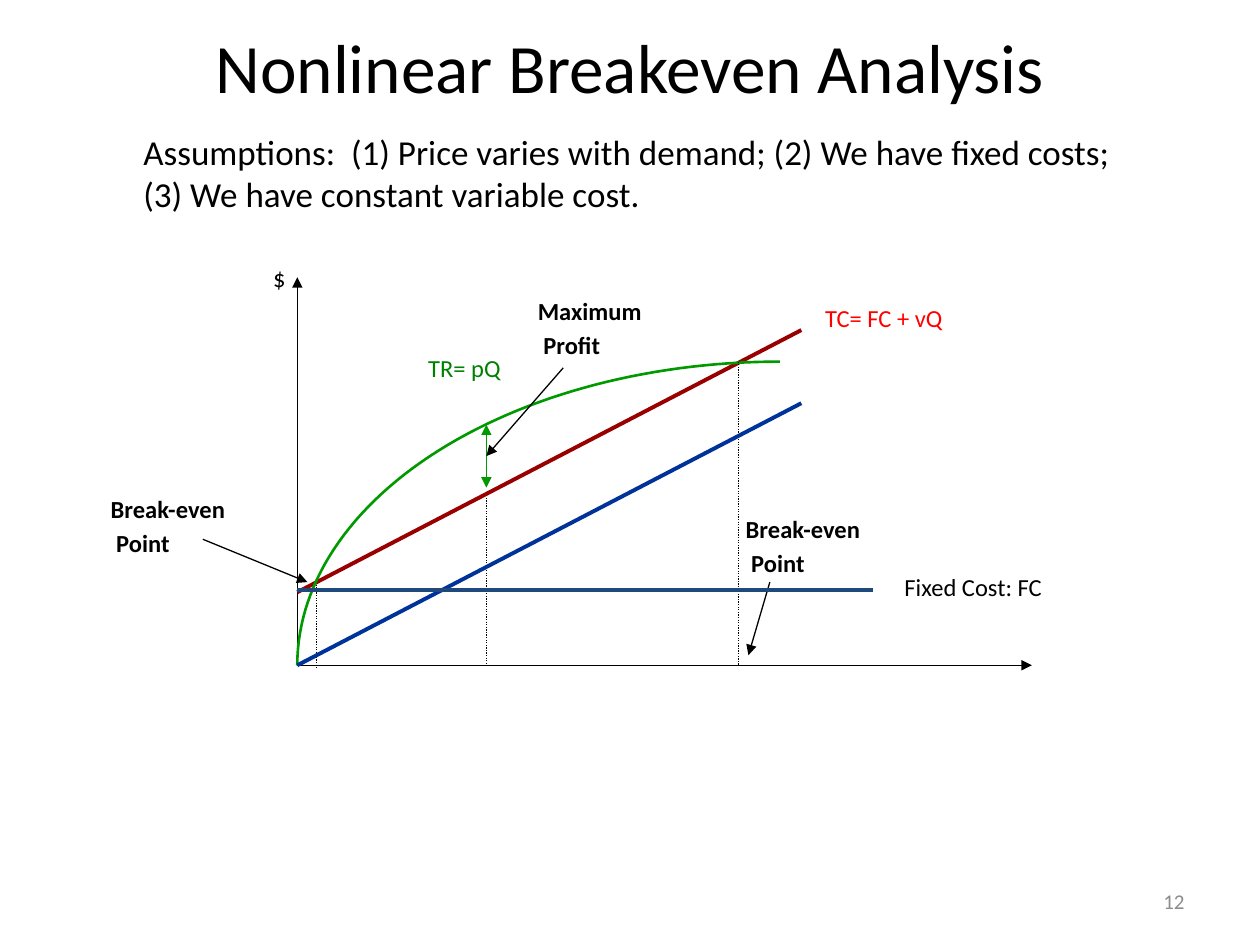
from dataclasses import dataclass
from math import cos, pi, sin

from lxml.etree import SubElement
from pptx import Presentation
from pptx.dml.color import RGBColor
from pptx.enum.dml import MSO_LINE
from pptx.enum.shapes import MSO_CONNECTOR
from pptx.enum.text import MSO_ANCHOR, MSO_AUTO_SIZE, PP_ALIGN
from pptx.oxml.ns import qn
from pptx.util import Inches, Pt

COLORS = {"black": "000000", "cost": "990000", "curve": "009900", "variable": "003399",
          "fixed": "1F497D", "red": "FF0000", "green": "008000", "grey": "8C8C8C"}
WIDTH, HEIGHT = 10, 7.5
X0, Y0 = 2.36, 5.28              # origin of the diagram
X_END, RISE = X0 + 4, 2.08       # right end and rise of both cost lines
X_LOW, X_MAX, X_HIGH = 2.51, 3.86, 5.86
CURVE_W, CURVE_H = 3.83, 2.41


@dataclass(frozen=True)
class Line:
    """A straight line with optional arrowheads."""
    start: tuple[float, float]
    end: tuple[float, float]
    color: str = "black"
    width: float = 0.75
    ends: tuple[str, ...] = ()
    dotted: bool = False


@dataclass(frozen=True)
class Label:
    """A text box with one paragraph per line of text."""
    text: str
    box: tuple[float, float, float, float]
    color: str = "black"
    size: float = 14
    bold: bool = False
    before: float = 0
    indent: float = 0
    wrap: bool = False
    align: PP_ALIGN = PP_ALIGN.LEFT
    anchor: MSO_ANCHOR = MSO_ANCHOR.TOP


def rgb(name: str) -> RGBColor:
    """Look up a named colour."""
    return RGBColor.from_string(COLORS[name])


def place(sp, box: tuple[float, float, float, float]) -> None:
    """Move and size a shape in inches."""
    for name, value in zip(("left", "top", "width", "height"), box):
        setattr(sp, name, Inches(value))


def write(tf, label: Label) -> None:
    """Fill a text frame with the label's formatted text."""
    frame = {"auto_size": MSO_AUTO_SIZE.NONE, "word_wrap": label.wrap,
             "vertical_anchor": label.anchor}
    for name, value in frame.items():
        setattr(tf, name, value)
    for i, text in enumerate(label.text.split("\n")):
        p = tf.add_paragraph() if i else tf.paragraphs[0]
        p.alignment, p.space_before = label.align, Pt(label.before)
        if label.indent:
            p._p.get_or_add_pPr().set("marL", str(Inches(label.indent)))
        r = p.add_run()
        r.text = text
        font = {"name": "Calibri", "size": Pt(label.size), "bold": label.bold}
        for name, value in font.items():
            setattr(r.font, name, value)
        r.font.color.rgb = rgb(label.color)


def add_label(shapes, label: Label) -> None:
    """Draw one text box."""
    sp = shapes.add_textbox(*map(Inches, label.box))
    write(sp.text_frame, label)


def add_line(shapes, line: Line) -> None:
    """Draw one straight line."""
    sp = shapes.add_connector(MSO_CONNECTOR.STRAIGHT,
                              *map(Inches, line.start + line.end))
    sp.line.color.rgb, sp.line.width = rgb(line.color), Pt(line.width)
    if line.dotted:
        sp.line.dash_style = MSO_LINE.ROUND_DOT
    ln = sp.line._get_or_add_ln()
    for end in line.ends:
        SubElement(ln, qn(f"a:{end}")).set("type", "triangle")
    SubElement(sp._element.spPr, qn("a:effectLst"))


def add_curve(shapes, steps: int = 60) -> None:
    """Draw the revenue curve as a quarter of an ellipse."""
    angles = [pi / 2 * i / steps for i in range(steps + 1)]
    points = [(Inches(X0 + CURVE_W * (1 - cos(a))), Inches(Y0 - CURVE_H * sin(a)))
              for a in angles]
    builder = shapes.build_freeform(*points[0])
    builder.add_line_segments(points[1:], close=False)
    sp = builder.convert_to_shape()
    sp.shadow.inherit = False
    sp.fill.background()
    sp.line.color.rgb, sp.line.width = rgb("curve"), Pt(1.5)


def drop(x: float, top: float, bottom: float = Y0) -> Line:
    """Give a dotted vertical line down to the quantity axis."""
    return Line((x, top), (x, bottom), dotted=True)


def arrow(start: tuple[float, float], end: tuple[float, float]) -> Line:
    """Give a thin line with an arrowhead at its end."""
    return Line(start, end, ends=("tailEnd",))


def note(text: str, left: float, top: float, width: float) -> Label:
    """Give a bold two-line note."""
    return Label(text, (left, top, width, 0.62), bold=True, before=2.8)


BACK_LINES = [
    arrow((X0, Y0), (X0, 2.2)),
    arrow((X0, Y0), (8.19, Y0)),
    Line((X0, 4.7), (X_END, 4.7 - RISE), "cost", 2.25),
]
FRONT_LINES = [
    Line((X_MAX, 3.37), (X_MAX, 3.87), "curve", ends=("headEnd", "tailEnd")),
    drop(X_MAX, 3.95),
    drop(X_HIGH, Y0 - CURVE_H),
    drop(X_LOW, 4.64, 5.31),
    arrow((4.47, 2.92), (X_MAX, 3.62)),
    arrow((6.11, 4.62), (5.94, 5.2)),
    arrow((1.61, 4.28), (2.44, 4.62)),
    Line((X0, Y0), (X_END, Y0 - RISE), "variable", 2.25),
    Line((X0, 4.68), (6.93, 4.68), "fixed", 2.25),
]
BREAK_EVEN = "Break-even\n Point"
LABELS = [
    Label("Assumptions:  (1) Price varies with demand; (2) We have fixed costs; "
          "(3) We have constant variable cost.", (0.66, 0.99, 8.5, 0.77),
          size=20, before=4, indent=0.38, wrap=True),
    note("Maximum\n Profit", 4.17, 2.3, 1.03),
    note(BREAK_EVEN, 5.82, 4.03, 1.12),
    note(BREAK_EVEN, 0.78, 3.87, 1.12),
    Label("TC= FC + vQ", (6.45, 2.36, 1.14, 0.34), "red"),
    Label("TR= pQ", (3.3, 2.75, 0.78, 0.34), "green"),
    Label("Fixed Cost: FC", (7.08, 4.49, 1.39, 0.33)),
    Label("$", (2.07, 2.04, 0.3, 0.33), wrap=True),
    Label("12", (7.17, 6.95, 2.33, 0.4), "grey", 12, wrap=True,
          align=PP_ALIGN.RIGHT, anchor=MSO_ANCHOR.MIDDLE),
]
TITLE = Label("Nonlinear Breakeven Analysis", (0.5, 0.3, 9, 0.45), size=39.6, wrap=True,
              align=PP_ALIGN.CENTER, anchor=MSO_ANCHOR.MIDDLE)


def main() -> None:
    """Build and save the slide."""
    prs = Presentation()
    prs.slide_width, prs.slide_height = Inches(WIDTH), Inches(HEIGHT)
    s = prs.slides.add_slide(prs.slide_layouts[5])
    place(s.shapes.title, TITLE.box)
    write(s.shapes.title.text_frame, TITLE)
    for line in BACK_LINES:
        add_line(s.shapes, line)
    add_curve(s.shapes)
    for line in FRONT_LINES:
        add_line(s.shapes, line)
    for label in LABELS:
        add_label(s.shapes, label)
    prs.save("out.pptx")


main()
